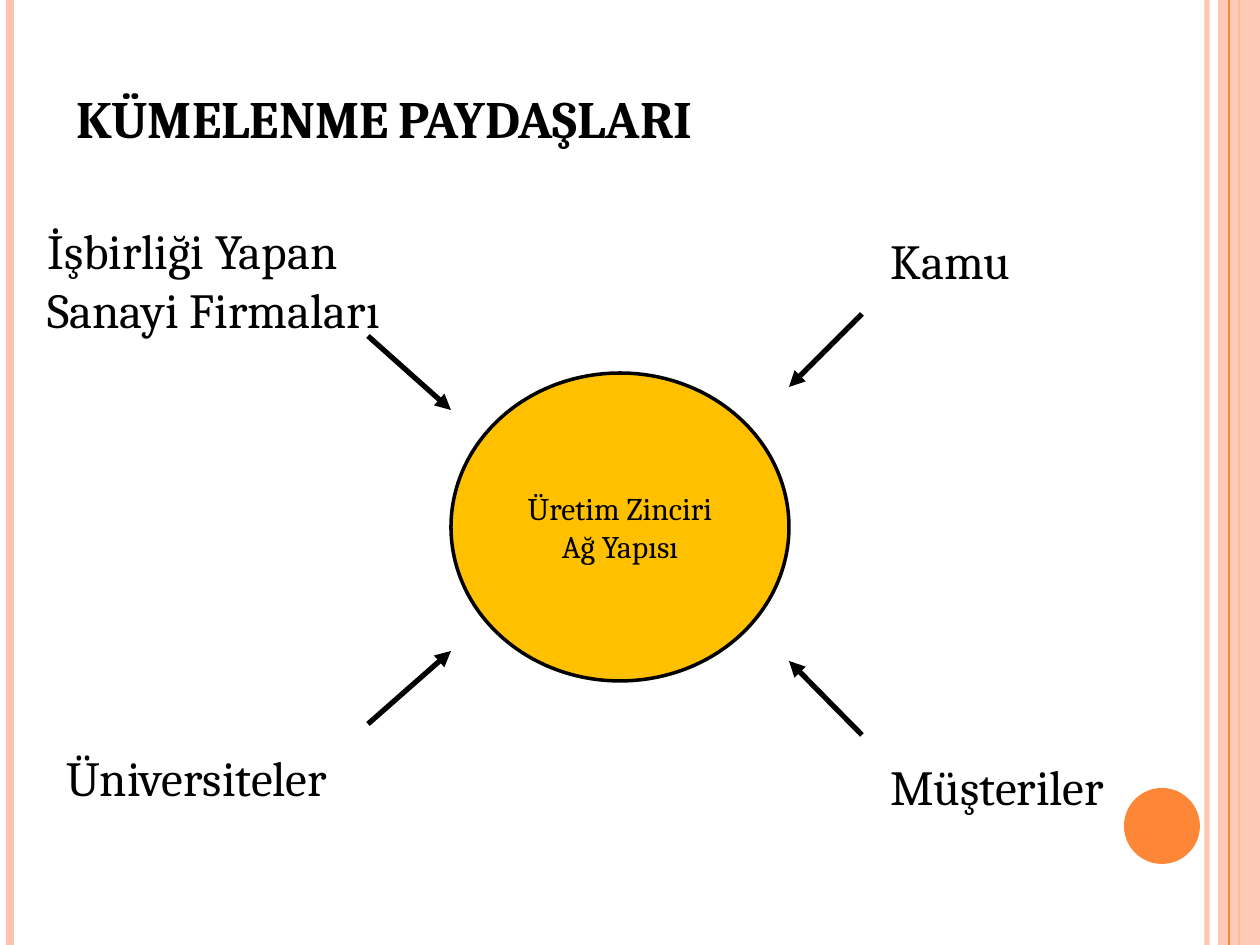
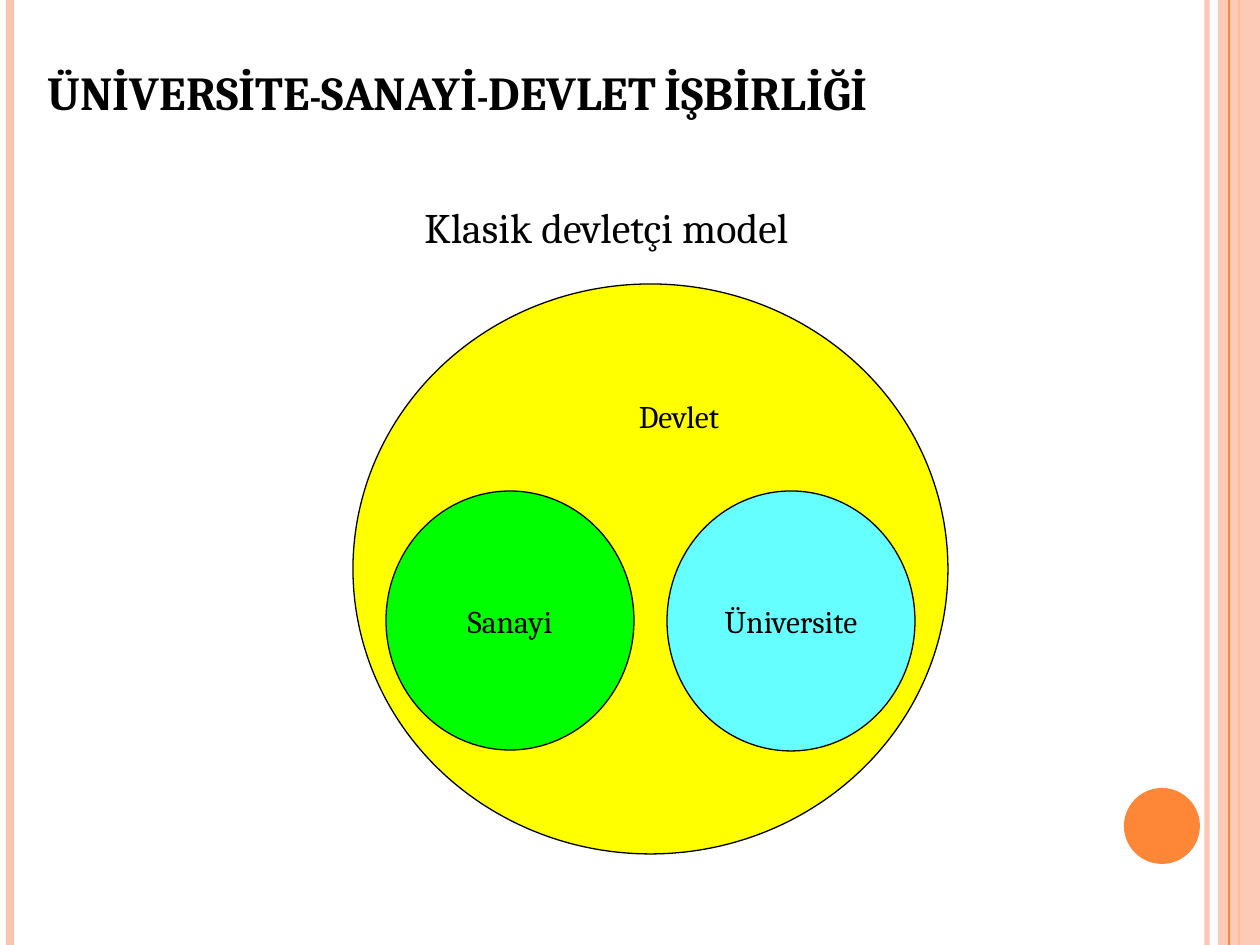
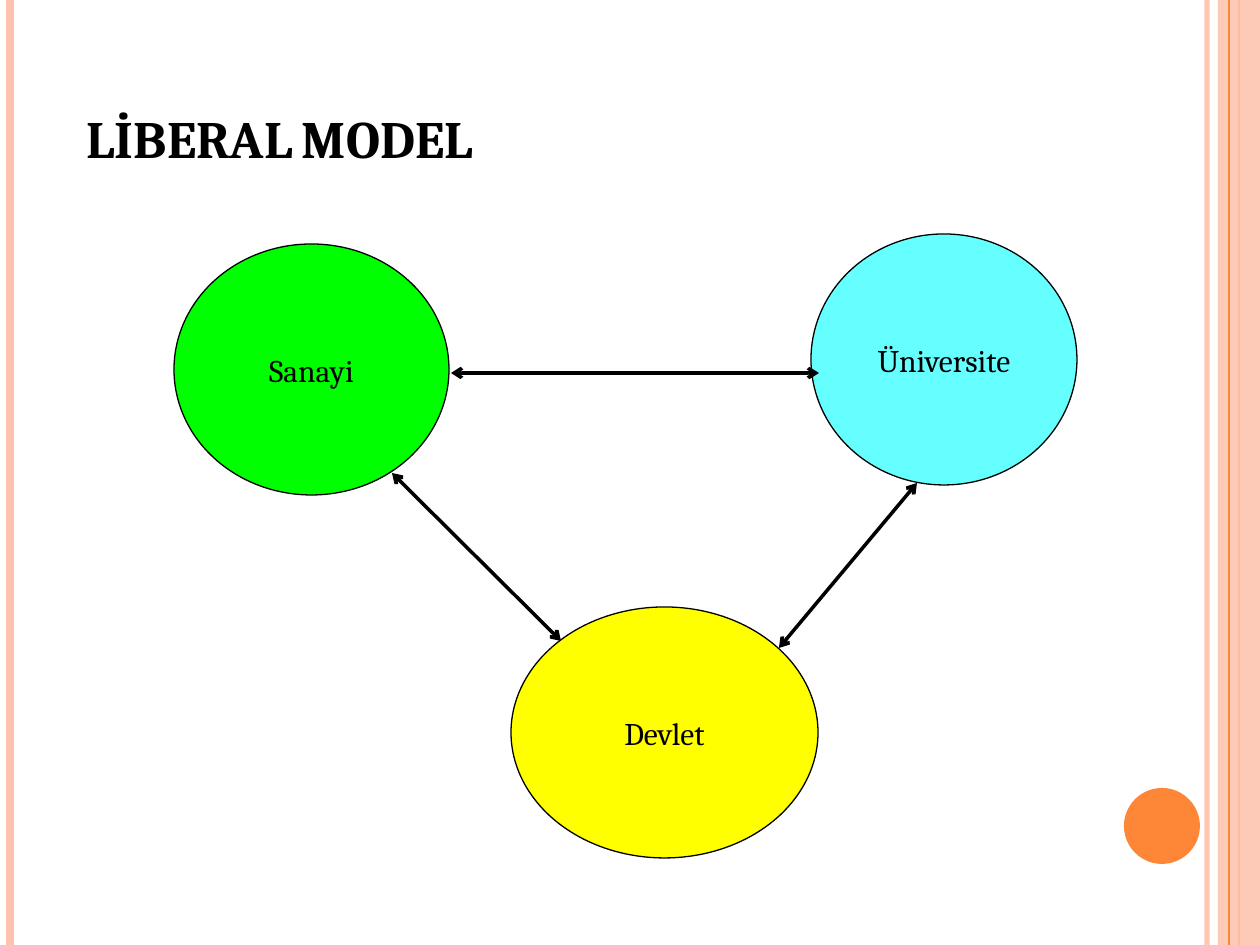
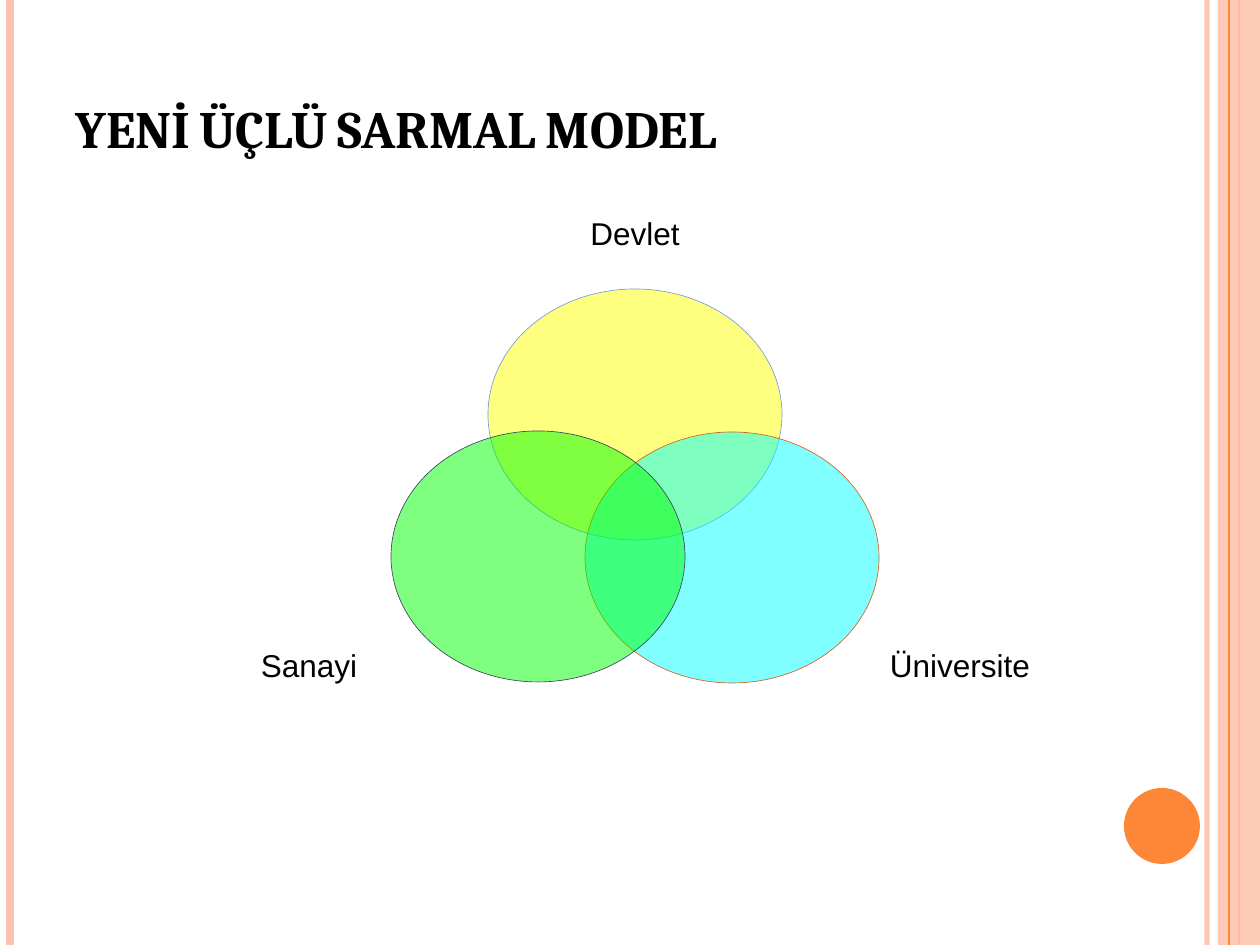
from dataclasses import dataclass

from lxml.etree import SubElement
from pptx import Presentation
from pptx.dml.color import RGBColor
from pptx.enum.shapes import MSO_CONNECTOR, MSO_SHAPE
from pptx.enum.text import MSO_ANCHOR as Anchor
from pptx.enum.text import MSO_AUTO_SIZE as AutoSize
from pptx.enum.text import PP_ALIGN as Align
from pptx.oxml.ns import qn
from pptx.util import Pt

PX = 914400 / 126
WIDTH, HEIGHT = 1260, 945
TITLE_ONLY = 5


@dataclass(frozen=True)
class Theme:
    # Colours
    ink: str = "000000"
    peach: str = "FEC3AE"
    orange: str = "FE8637"
    amber: str = "FFC000"
    state: str = "FFFF00"
    industry: str = "00FF00"
    university: str = "66FFFF"
    cyan: str = "00FFFF"
    state_edge: str = "7598D9"
    university_edge: str = "D2611C"
    industry_edge: str = "3B435B"
    # Type
    serif: str = "Cambria"
    sans: str = "Arial"
    title: int = 30
    long_title: int = 27
    stakeholder: int = 28
    caption: int = 24
    label: int = 18


def emu(*lengths):
    return [round(length * PX) for length in lengths]


def set_alpha(holder, percent):
    colour = holder.find(qn("a:solidFill")).find(qn("a:srgbClr"))
    SubElement(colour, qn("a:alpha")).set("val", str(percent * 1000))


def write(frame, text, *, size, font, color, bold=False, small_caps=False,
          align=Align.LEFT, anchor=Anchor.TOP, wrap=True,
          fit=AutoSize.NONE, inset=None):
    """Fill a text frame; each line of the text is a paragraph."""
    frame.text = text
    frame.word_wrap = wrap
    frame.auto_size = fit
    frame.vertical_anchor = anchor
    if inset is not None:
        frame.margin_left = frame.margin_right = inset
        frame.margin_top = frame.margin_bottom = inset
    for paragraph in frame.paragraphs:
        paragraph.alignment = align
        for run in paragraph.runs:
            run.font.name = font
            run.font.size = Pt(size)
            run.font.bold = bold
            run.font.color.rgb = RGBColor.from_string(color)
            if small_caps:
                run.font._element.set("cap", "small")


class Deck:
    def __init__(self, theme):
        self.theme = theme
        self.file = Presentation()
        self.file.slide_width, self.file.slide_height = emu(WIDTH, HEIGHT)
        self.layout = self.file.slide_layouts[TITLE_ONLY]
        self.slide = None

    def new_slide(self, title, box, size=None):
        self.slide = self.file.slides.add_slide(self.layout)
        heading = self.slide.shapes.title
        heading.left, heading.top, heading.width, heading.height = emu(*box)
        write(heading.text_frame, title, size=size or self.theme.title,
              font=self.theme.serif, color=self.theme.ink, bold=True,
              small_caps=True, anchor=Anchor.BOTTOM)

    def shape(self, box, fill, *, kind=MSO_SHAPE.OVAL, edge=None,
              weight=0.75, alpha=None, text=None, wrap=False):
        shape = self.slide.shapes.add_shape(kind, *emu(*box))
        shape.shadow.inherit = False
        shape.fill.solid()
        shape.fill.fore_color.rgb = RGBColor.from_string(fill)
        if alpha:
            set_alpha(shape._element.spPr, alpha)
        if edge:
            shape.line.color.rgb = RGBColor.from_string(edge)
            shape.line.width = Pt(weight)
        else:
            shape.line.fill.background()
        if text:
            write(shape.text_frame, text, size=self.theme.label,
                  font=self.theme.serif, color=self.theme.ink,
                  align=Align.CENTER, anchor=Anchor.MIDDLE, wrap=wrap)
        return shape

    def label(self, text, box, **style):
        look = dict(size=self.theme.label, font=self.theme.serif,
                    color=self.theme.ink)
        frame = self.slide.shapes.add_textbox(*emu(*box)).text_frame
        write(frame, text, **{**look, **style})

    def line(self, start, end, *, color=None, weight=2, alpha=None,
             head=None, tail=None):
        line = self.slide.shapes.add_connector(
            MSO_CONNECTOR.STRAIGHT, *emu(*start, *end))
        line.line.color.rgb = RGBColor.from_string(color or self.theme.ink)
        line.line.width = Pt(weight)
        stroke = line.line._get_or_add_ln()
        if alpha:
            set_alpha(stroke, alpha)
        for tag, arrow in (("a:headEnd", head), ("a:tailEnd", tail)):
            if arrow:
                SubElement(stroke, qn(tag)).set("type", arrow)
        SubElement(line._element.spPr, qn("a:effectLst"))
        return line

    def rule(self, x, color, weight, alpha=None):
        return self.line((x, 0), (x, HEIGHT), color=color, weight=weight,
                         alpha=alpha)

    def decorate_layout(self):
        """Draw the side bands and the disc, then move them to the layout."""
        look = self.theme
        parts = [
            self.rule(1207, look.peach, 3, alpha=93),
            self.rule(10, look.peach, 4.5),
            self.rule(1239, look.orange, 1.5),
            self.shape((1218, 0, 42, HEIGHT), look.peach,
                       kind=MSO_SHAPE.RECTANGLE, alpha=87),
            self.rule(1229, look.orange, 0.75),
            self.shape((1124, 788, 76, 76), look.orange),
        ]
        tree = self.layout.shapes._spTree
        for order, part in enumerate(parts):
            part._element.xpath(".//p:cNvPr")[0].set("id", str(100 + order))
            tree.insert(2 + order, part._element)


def stakeholders(deck):
    deck.new_slide("KÜMELENME PAYDAŞLARI", (64, 55, 1029, 100))
    deck.decorate_layout()
    for name, box in (
        ("İşbirliği Yapan\nSanayi Firmaları", (35, 214, 397, 131)),
        ("Kamu", (878, 224, 357, 72)),
        ("Üniversiteler", (54, 741, 348, 72)),
        ("Müşteriler", (878, 750, 328, 72)),
    ):
        deck.label(name, box, size=deck.theme.stakeholder,
                   fit=AutoSize.SHAPE_TO_FIT_TEXT)
    for start, end in (
        ((368, 724), (451, 651)),
        ((368, 336), (451, 410)),
        ((862, 314), (789, 387)),
        ((862, 735), (789, 661)),
    ):
        deck.line(start, end, weight=3, tail="triangle")
    deck.shape((451, 373, 338, 308), deck.theme.amber, edge=deck.theme.ink,
               weight=2, text="Üretim Zinciri Ağ Yapısı", wrap=True)


def statist_model(deck):
    look = deck.theme
    deck.new_slide("ÜNİVERSİTE-SANAYİ-DEVLET İŞBİRLİĞİ", (35, 16, 1150, 110),
                   size=look.long_title)
    deck.shape((353, 284, 595, 570), look.state, edge=look.ink)
    deck.shape((386, 491, 248, 259), look.industry, edge=look.ink,
               text="Sanayi")
    deck.shape((667, 491, 248, 260), look.university, edge=look.ink,
               text="Üniversite")
    deck.label("Devlet", (510, 350, 338, 131), align=Align.CENTER,
               anchor=Anchor.MIDDLE, wrap=False)
    deck.label("Klasik devletçi model", (412, 195, 466, 63),
               size=look.caption, fit=AutoSize.SHAPE_TO_FIT_TEXT)


def liberal_model(deck):
    look = deck.theme
    deck.new_slide("LİBERAL MODEL", (74, 55, 1029, 120))
    for actor, box, fill in (
        ("Devlet", (511, 607, 307, 251), look.state),
        ("Üniversite", (811, 234, 266, 251), look.university),
        ("Sanayi", (174, 244, 275, 251), look.industry),
    ):
        deck.shape(box, fill, edge=look.ink, text=actor)
    for start, end in (
        ((392, 473), (561, 641)),
        ((917, 483), (779, 648)),
        ((451, 373), (819, 373)),
    ):
        deck.line(start, end, head="arrow", tail="arrow")


def triple_helix(deck):
    look = deck.theme
    deck.new_slide("YENİ ÜÇLÜ SARMAL MODEL", (63, 38, 1043, 127))
    # Each actor: circle corner, fill, edge, label corner
    for actor, circle, fill, edge, caption in (
        ("Devlet", (488, 289), look.state, look.state_edge, (558, 201)),
        ("Üniversite", (585, 432), look.cyan, look.university_edge,
         (883, 633)),
        ("Sanayi", (391, 431), look.industry, look.industry_edge,
         (232, 633)),
    ):
        deck.shape((*circle, 294, 251), fill, edge=edge, weight=0.37,
                   alpha=50)
        deck.label(actor, (*caption, 154, 63), font=look.sans,
                   align=Align.CENTER, anchor=Anchor.MIDDLE, wrap=False,
                   inset=0)


def main():
    deck = Deck(Theme())
    for build in (stakeholders, statist_model, liberal_model, triple_helix):
        build(deck)
    deck.file.save("out.pptx")


if __name__ == "__main__":
    main()
